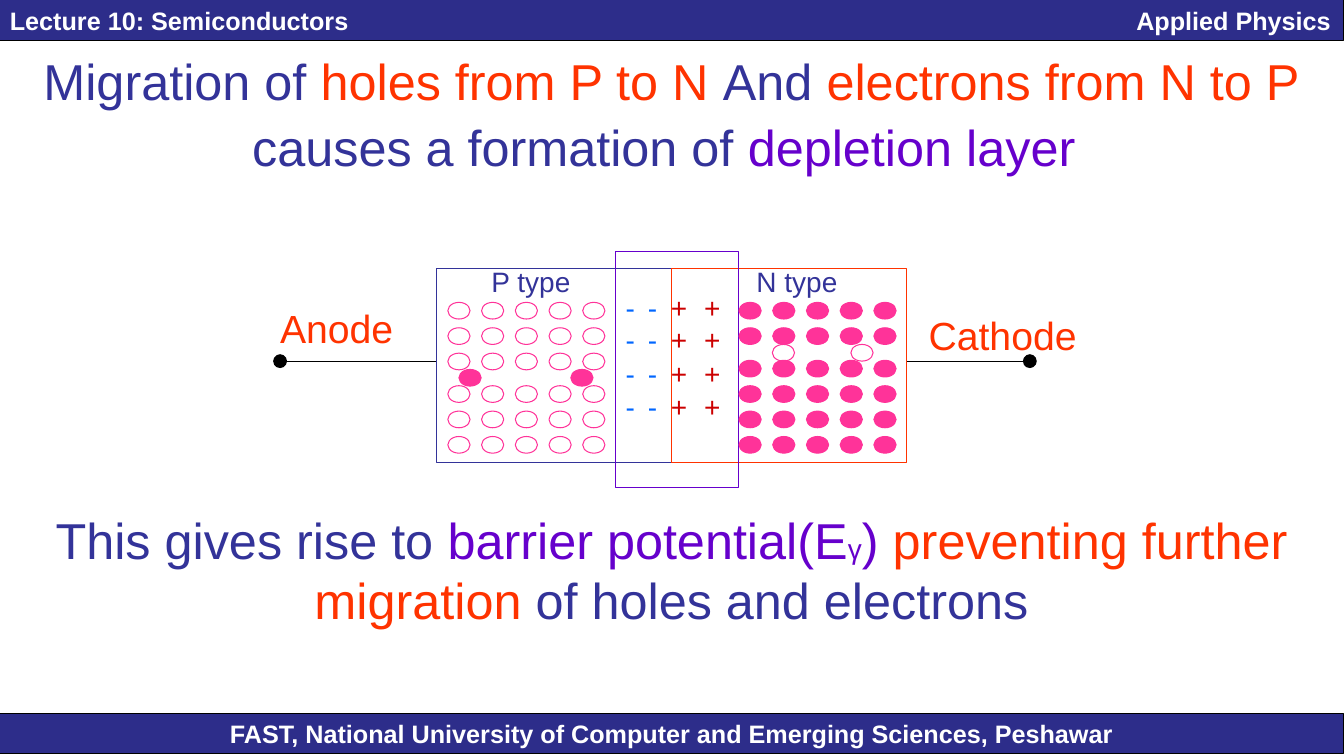
"""Build the slide on the depletion layer of a P-N junction."""
from dataclasses import dataclass

from lxml import etree
from pptx import Presentation
from pptx import util as u
from pptx.dml.color import RGBColor
from pptx.enum import shapes, text
from pptx.oxml import ns


@dataclass(frozen=True)
class Theme:
    """Colours, type sizes and font of the slide."""
    bar: str = "2D2D8A"
    white: str = "FFFFFF"
    black: str = "000000"
    navy: str = "333399"
    orange: str = "FF3300"
    violet: str = "6600CC"
    carrier: str = "FF3399"
    negative: str = "0066FF"
    positive: str = "CC0000"
    tall: int = 40
    statement: int = 36
    terminal: int = 28
    label: int = 20
    banner: int = 18
    line: float = 0.75
    font: str = "Arial"


THEME = Theme()
SLIDE_WIDTH, SLIDE_HEIGHT = 33.88, 19.05
BAR_WIDTH, BAR_HEIGHT = 33.86, 1.02
REGION_WIDTH, REGION_HEIGHT = 5.93, 4.88
CARRIER_WIDTH, CARRIER_HEIGHT = 0.56, 0.42
COLUMN_PITCH, ROW_PITCH, ROW_GAP = 0.85, 0.64, 0.18
CARRIER_TOP = 7.62
SIGN_TOPS = (7.19, 8.0, 8.87, 9.7)


def lengths(*values):
    """Turn centimetre values into slide lengths."""
    return [u.Cm(value) for value in values]


def write(frame, runs, size=THEME.label, bold=False, align=text.PP_ALIGN.LEFT,
          anchor=text.MSO_ANCHOR.TOP, right_tab=None):
    """Fill a frame with one paragraph of (wording, colour[, size]) runs."""
    frame.word_wrap = True
    frame.vertical_anchor = anchor
    paragraph = frame.paragraphs[0]
    paragraph.alignment = align
    if right_tab:
        tabs = etree.SubElement(paragraph._p.get_or_add_pPr(), ns.qn("a:tabLst"))
        etree.SubElement(tabs, ns.qn("a:tab"), pos=str(u.Cm(right_tab)), algn="r")
    for wording, colour, *own_size in runs:
        run = paragraph.add_run()
        run.text = wording
        run.font.name = THEME.font
        run.font.size = u.Pt(own_size[0] if own_size else size)
        run.font.bold = bold
        run.font.color.rgb = RGBColor.from_string(colour)


def add_words(slide, box, runs, **style):
    """Place a text box holding formatted runs."""
    write(slide.shapes.add_textbox(*lengths(*box)).text_frame, runs, **style)


def add_outline(slide, kind, box, line, fill=None):
    """Draw a preset shape with a thin line and an optional fill."""
    outline = slide.shapes.add_shape(kind, *lengths(*box))
    outline.shadow.inherit = False
    outline.line.color.rgb = RGBColor.from_string(line)
    outline.line.width = u.Pt(THEME.line)
    if fill:
        outline.fill.solid()
        outline.fill.fore_color.rgb = RGBColor.from_string(fill)
    else:
        outline.fill.background()
    return outline


def add_banner(slide, top, wording, **style):
    """Draw a full-width bar with bold white wording."""
    bar = add_outline(slide, shapes.MSO_SHAPE.RECTANGLE,
                      (0, top, BAR_WIDTH, BAR_HEIGHT), THEME.black, THEME.bar)
    write(bar.text_frame, [(wording, THEME.white)], size=THEME.banner, bold=True,
          anchor=text.MSO_ANCHOR.MIDDLE, **style)


def add_carrier(slide, left, top, fill=None):
    """Draw one hole, or one electron when filled."""
    add_outline(slide, shapes.MSO_SHAPE.OVAL,
                (left, top, CARRIER_WIDTH, CARRIER_HEIGHT), THEME.carrier, fill)


def add_carriers(slide, left, rows_above_gap, fill=None):
    """Draw six rows of five carriers, split by a gap."""
    for row in range(6):
        top = CARRIER_TOP + row * ROW_PITCH + (ROW_GAP if row >= rows_above_gap else 0)
        for column in range(5):
            add_carrier(slide, left + column * COLUMN_PITCH, top, fill)


def add_signs(slide, left, sign, colour):
    """Stack one charge sign in four rows."""
    for top in SIGN_TOPS:
        add_words(slide, (left, top, 1.2, 1.12), [(sign, colour)])


def add_lead(slide, outer, inner):
    """Draw a terminal wire with a round outer end."""
    wire = slide.shapes.add_connector(shapes.MSO_CONNECTOR.STRAIGHT,
                                      *lengths(outer, 9.1, inner, 9.1))
    wire.line.color.rgb = RGBColor.from_string(THEME.black)
    wire.line.width = u.Pt(THEME.line)
    etree.SubElement(wire.line._get_or_add_ln(), ns.qn("a:headEnd"),
                     type="oval", w="lg", len="lg")
    etree.SubElement(wire._element.spPr, ns.qn("a:effectLst"))


def add_junction(slide):
    """Draw the two regions, their carriers, charges and terminals."""
    rectangle = shapes.MSO_SHAPE.RECTANGLE
    for left, colour in ((11, THEME.navy), (16.93, THEME.orange)):
        add_outline(slide, rectangle, (left, 6.77, REGION_WIDTH, REGION_HEIGHT), colour)
    add_outline(slide, rectangle, (15.52, 6.35, 3.11, 5.93), THEME.violet)
    for left, name in ((12.14, "P type"), (18.82, "N type")):
        add_words(slide, (left, 6.55, 3.2, 1.12), [(name, THEME.navy)])

    add_carriers(slide, 11.29, 3)
    add_carriers(slide, 18.63, 2, THEME.carrier)
    for left in (11.57, 14.39):
        add_carrier(slide, left, 9.31, THEME.carrier)
    for left in (19.47, 21.45):
        add_carrier(slide, left, 8.68)

    for left in (15.52, 16.08):
        add_signs(slide, left, "-", THEME.negative)
    for left in (16.66, 17.5):
        add_signs(slide, left, "+", THEME.positive)

    add_lead(slide, 7.06, 11)
    add_lead(slide, 25.96, 22.86)
    for left, top, name in ((6.81, 7.54, "Anode"), (23.16, 7.72, "Cathode")):
        add_words(slide, (left, top, 5, 1.45), [(name, THEME.orange)],
                  size=THEME.terminal)


def main():
    """Assemble and save the slide."""
    deck = Presentation()
    deck.slide_width, deck.slide_height = lengths(SLIDE_WIDTH, SLIDE_HEIGHT)
    slide = deck.slides.add_slide(deck.slide_layouts[6])
    centre = text.PP_ALIGN.CENTER

    add_banner(slide, 17.98, "FAST, National University of Computer and Emerging "
               "Sciences, Peshawar", align=centre)
    add_banner(slide, 0, "Lecture 10: Semiconductors\tApplied Physics", right_tab=33.3)
    add_junction(slide)
    add_words(slide, (0, 1.14, BAR_WIDTH, 3.48), [
        ("Migration of ", THEME.navy),
        ("holes from P to N ", THEME.orange),
        ("And ", THEME.navy),
        ("electrons from N to P", THEME.orange),
        (" causes a formation of ", THEME.navy),
        ("depletion layer", THEME.violet),
        (" ", THEME.navy, THEME.tall),
    ], size=THEME.statement, align=centre)
    add_words(slide, (0, 12.7, BAR_WIDTH, 3.3), [
        ("This gives rise to ", THEME.navy),
        ("barrier potential(E", THEME.violet),
        ("γ", THEME.violet, THEME.label),
        (") ", THEME.violet),
        ("preventing further migration", THEME.orange),
        (" of holes and electrons", THEME.navy),
    ], size=THEME.statement, align=centre)
    deck.save("out.pptx")


if __name__ == "__main__":
    main()
